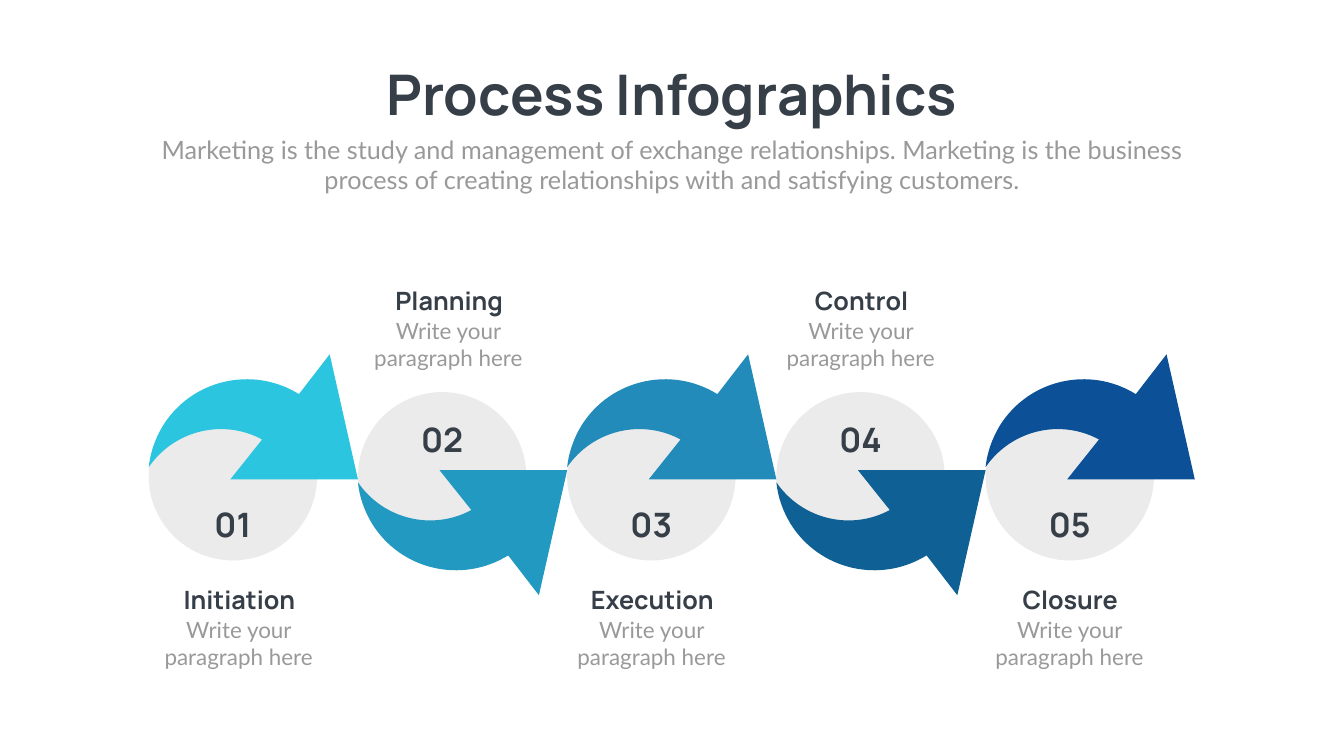
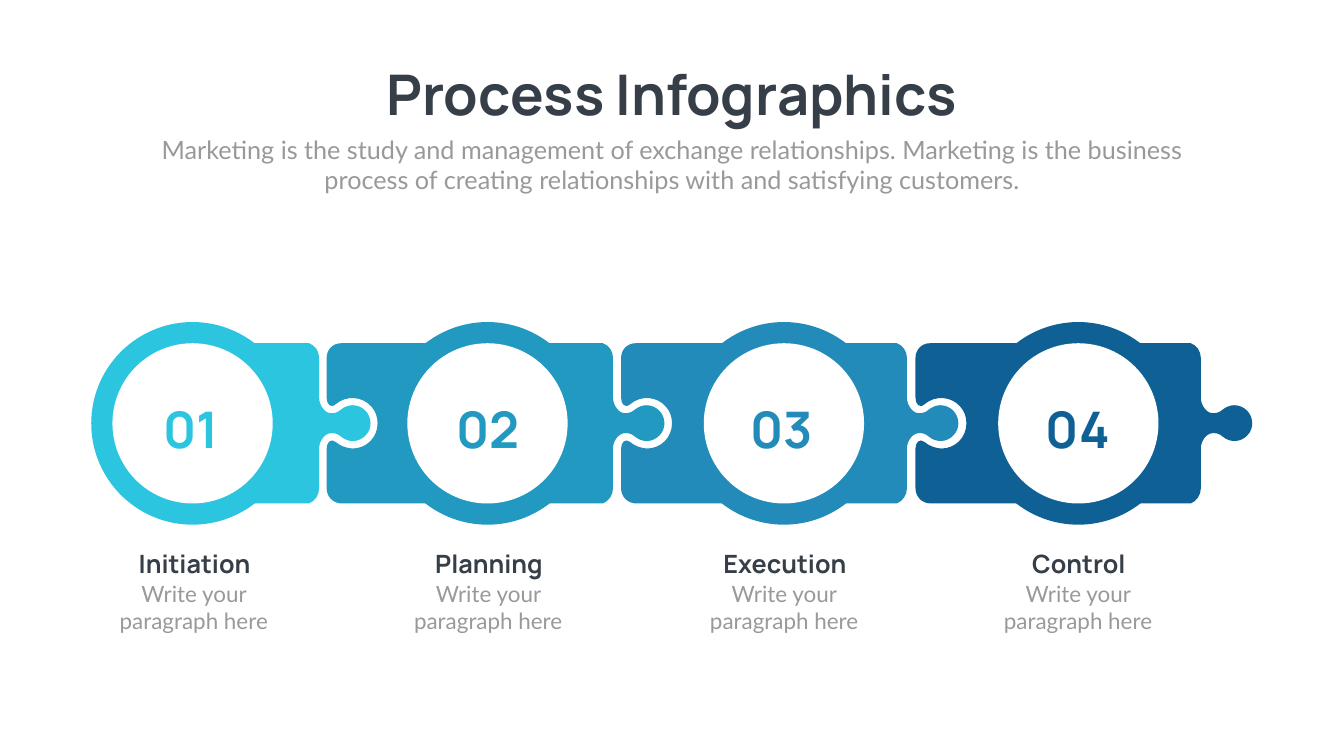
import pptx
import pptx.dml.color
import pptx.enum.shapes
import pptx.enum.text
import pptx.oxml.ns
import pptx.util

Inches = pptx.util.Inches

TITLE = "Process Infographics"
SUMMARY = (
    "Marketing is the study and management of exchange relationships. "
    "Marketing is the business process of creating relationships with "
    "and satisfying customers."
)
CAPTION = "Write your paragraph here"

ARROW_STEPS = [
    {"name": "Initiation", "color": "2BC5E0", "caption_left": 3.07},
    {"name": "Planning", "color": "2299C0", "caption_left": 7.23},
    {"name": "Execution", "color": "228BB9", "caption_left": 11.26},
    {"name": "Control", "color": "0F6195", "caption_left": 15.41},
    {"name": "Closure", "color": "0C5198", "caption_left": 19.55},
]
PUZZLE_STEPS = [
    {"name": "Initiation", "color": "2BC5E0", "center": 3.82,
     "number_left": 2.85, "caption_left": 2.18},
    {"name": "Planning", "color": "2299C0", "center": 9.67,
     "number_left": 8.74, "caption_left": 8.02},
    {"name": "Execution", "color": "228BB9", "center": 15.55,
     "number_left": 14.56, "caption_left": 13.89},
    {"name": "Control", "color": "0F6195", "center": 21.39,
     "number_left": 20.44, "caption_left": 19.72},
]

THEME = {
    "ink": "363E48",
    "gray": "999999",
    "disc": "EBEBEB",
    "white": "FFFFFF",
    "title": {"name": "Manrope", "size": pptx.util.Pt(80), "bold": True},
    "summary": {"name": "Lato", "size": pptx.util.Pt(36), "bold": False},
    "heading": {"name": "Manrope", "size": pptx.util.Pt(36), "bold": True},
    "caption": {"name": "Lato", "size": pptx.util.Pt(32), "bold": False},
    "arrow_number": {"name": "Manrope", "size": pptx.util.Pt(48), "bold": True},
    "puzzle_number": {"name": "Manrope", "size": pptx.util.Pt(72), "bold": True},
}

ARROW = [
    (4.15, 0.09), (3.59, -2.39), (2.98, -1.6),
    (2.06, -2.17, 0.85, -1.89, 0.28, -0.97),
    (0.13, -0.72, 0.03, -0.44, 0, -0.15),
    (0.5, -0.88, 1.47, -1.12, 2.25, -0.7),
    (1.62, 0.09),
]
TAB = [
    (-0.2, 1.59), (-0.08, 1.54, 0, 1.42, 0, 1.29), (0, 0.5),
    (0, 0.42, 0.03, 0.34, 0.08, 0.28),
    (0.13, 0.22, 0.21, 0.17, 0.32, 0.2),
    (0.36, 0.21, 0.4, 0.23, 0.43, 0.26),
    (0.58, 0.39, 0.8, 0.38, 0.93, 0.23),
    (0.99, 0.17, 1.02, 0.08, 1.02, 0),
    (1.02, -0.2, 0.86, -0.36, 0.66, -0.36),
    (0.58, -0.36, 0.49, -0.32, 0.43, -0.27),
    (0.4, -0.24, 0.36, -0.22, 0.32, -0.21),
    (0.21, -0.18, 0.13, -0.22, 0.08, -0.29),
    (0.03, -0.35, 0, -0.43, 0, -0.51),
    (0, -1.3), (0, -1.43, -0.08, -1.55, -0.2, -1.59),
]
SOCKET = [
    (0.29, -1.59), (0.12, -1.59, 0, -1.46, 0, -1.3), (0, -0.51),
    (0, -0.38, 0.08, -0.29, 0.18, -0.38),
    (0.39, -0.56, 0.71, -0.54, 0.89, -0.33),
    (0.97, -0.24, 1.01, -0.13, 1.01, 0),
    (1.01, 0.28, 0.79, 0.5, 0.51, 0.5),
    (0.39, 0.49, 0.27, 0.45, 0.18, 0.37),
    (0.08, 0.29, 0, 0.38, 0, 0.5),
    (0, 1.29), (0, 1.45, 0.12, 1.58, 0.29, 1.59),
]
FLAT_END = [(0, -1.59), (0, 1.59)]

ARROW_LEFT, ARROW_PITCH, ARROW_MIDDLE = 2.95, 4.15, 9.42
PUZZLE_MIDDLE = 8.4
TAB_LEFT, TAB_PITCH = 6.33, 5.83
SOCKET_LEFT, SOCKET_PITCH = 6.48, 5.84
FIRST_PIECE_LEFT = 4.06
RING_RADIUS, HOLE_RADIUS = 2.01, 1.59


def rgb(color):
    return pptx.dml.color.RGBColor.from_string(color)


def write(box, text, style, color, wrap=True):
    frame = box.text_frame
    settings = {
        "word_wrap": wrap,
        "auto_size": pptx.enum.text.MSO_AUTO_SIZE.SHAPE_TO_FIT_TEXT,
        "vertical_anchor": pptx.enum.text.MSO_ANCHOR.TOP,
    }
    for key, value in settings.items():
        setattr(frame, key, value)
    para = frame.paragraphs[0]
    para.alignment = pptx.enum.text.PP_ALIGN.CENTER
    para.space_before = pptx.util.Pt(0)
    span = para.add_run()
    span.text = text
    for key, value in THEME[style].items():
        setattr(span.font, key, value)
    span.font.color.rgb = rgb(color)


def add_text(page, place, text, style, color):
    box = page.shapes.add_textbox(*map(Inches, place))
    write(box, text, style, color)


def add_caption(page, step, top):
    left = step["caption_left"]
    add_text(page, (left, top, 3.36, 0.71), step["name"], "heading", THEME["ink"])
    add_text(page, (left - 0.03, top + 0.63, 3.39, 1.18), CAPTION, "caption", THEME["gray"])


def paint(shape, color):
    shape.shadow.inherit = False
    shape.fill.solid()
    shape.fill.fore_color.rgb = rgb(color)
    shape.line.fill.background()


def add_disc(page, center_x, center_y, radius, color):
    place = (center_x - radius, center_y - radius, 2 * radius, 2 * radius)
    oval = pptx.enum.shapes.MSO_SHAPE.OVAL
    paint(page.shapes.add_shape(oval, *map(Inches, place)), color)


def move(segments, left, middle, flip=1):
    return [
        [(Inches(left + x), Inches(middle + flip * y))
         for x, y in zip(segment[::2], segment[1::2])]
        for segment in segments
    ]


def add_outline(page, segments, color):
    points = [point for segment in segments for point in segment]
    builder = page.shapes.build_freeform(*points[0])
    builder.add_line_segments(points[1:], close=True)
    shape = builder.convert_to_shape()
    bend_curves(shape, segments)
    paint(shape, color)


def bend_curves(shape, segments):
    name = pptx.oxml.ns.qn
    outline = next(shape.element.iter(name("a:path")))
    lines = iter(outline.findall(name("a:lnTo")))
    for segment in segments[1:]:
        curve, *others = [next(lines) for _ in segment]
        if others:
            curve.tag = name("a:cubicBezTo")
        for line in others:
            curve.append(line[0])
            outline.remove(line)


def add_page(deck):
    page = deck.slides.add_slide(deck.slide_layouts[0])
    parts = [
        (page.shapes.title, (7.17, 1.14, 12.32, 1.45), TITLE, "title", THEME["ink"], False),
        (page.placeholders[1], (2.92, 2.61, 20.82, 1.31), SUMMARY, "summary", THEME["gray"], True),
    ]
    for box, place, text, style, color, wrap in parts:
        for key, value in zip(("left", "top", "width", "height"), place):
            setattr(box, key, Inches(value))
        write(box, text, style, color, wrap)
    return page


def build_arrows(deck):
    page = add_page(deck)
    lefts = [ARROW_LEFT + index * ARROW_PITCH for index in range(len(ARROW_STEPS))]
    for left in lefts:
        add_disc(page, left + 1.67, 9.45, 1.67, THEME["disc"])
    for index, (step, left) in enumerate(zip(ARROW_STEPS, lefts)):
        rises = index % 2 == 0
        arrow = move(ARROW, left, ARROW_MIDDLE, 1 if rises else -1)
        add_outline(page, arrow, step["color"])
        number_top, caption_top = (9.94, 11.55) if rises else (8.27, 5.61)
        add_text(page, (left + 0.73, number_top, 1.88, 0.91),
                 f"{index + 1:02}", "arrow_number", THEME["ink"])
        add_caption(page, step, caption_top)


def build_puzzle(deck):
    page = add_page(deck)
    for index, step in enumerate(PUZZLE_STEPS):
        if index == 0:
            left_side = move(FLAT_END, FIRST_PIECE_LEFT, PUZZLE_MIDDLE)
        else:
            socket_left = SOCKET_LEFT + (index - 1) * SOCKET_PITCH
            left_side = move(SOCKET, socket_left, PUZZLE_MIDDLE)
        right_side = move(TAB, TAB_LEFT + index * TAB_PITCH, PUZZLE_MIDDLE)
        add_outline(page, left_side + right_side, step["color"])
        add_disc(page, step["center"], PUZZLE_MIDDLE, RING_RADIUS, step["color"])
        add_disc(page, step["center"], PUZZLE_MIDDLE, HOLE_RADIUS, THEME["white"])
        add_text(page, (step["number_left"], 7.84, 1.88, 1.31),
                 f"{index + 1:02}", "puzzle_number", step["color"])
        add_caption(page, step, 10.83)


def main():
    deck = pptx.Presentation()
    deck.slide_width, deck.slide_height = Inches(26.66), Inches(15)
    build_arrows(deck)
    build_puzzle(deck)
    deck.save("out.pptx")


if __name__ == "__main__":
    main()
